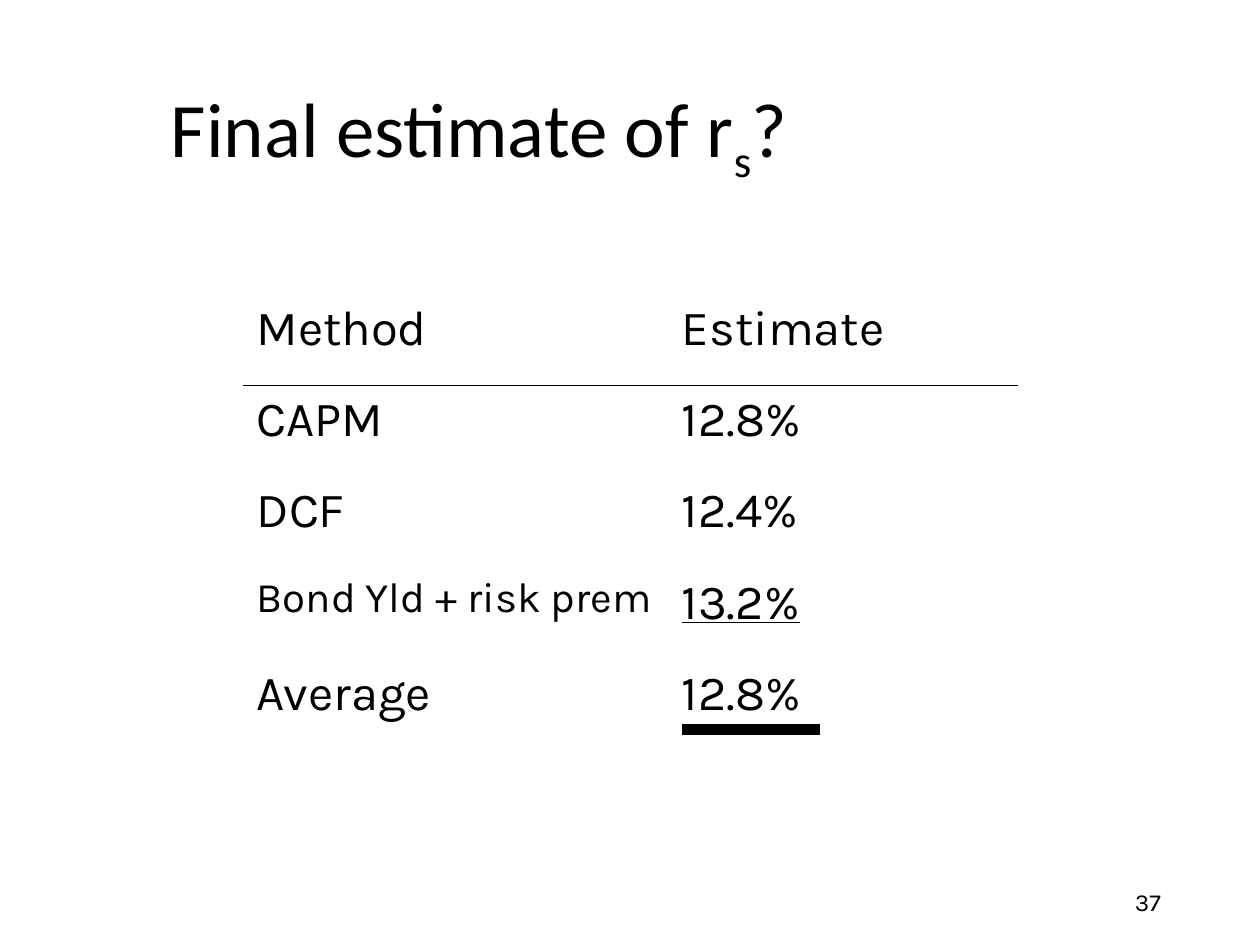
from dataclasses import dataclass

import pptx
import pptx.dml.color
import pptx.enum.shapes
import pptx.enum.text
import pptx.oxml
import pptx.oxml.ns
import pptx.util
from pptx.util import Pt

BLACK = "000000"
BODY_FONT = "Karla"
TITLE_FONT = "Calibri"


@dataclass
class Run:
    text: str
    size: float = 28
    font: str = BODY_FONT
    underline: bool = False
    baseline: int = 0


@dataclass
class Estimate:
    method: Run
    value: Run


ESTIMATES = [
    Estimate(Run("Method"), Run("Estimate")),
    Estimate(Run("CAPM"), Run("12.8%")),
    Estimate(Run("DCF"), Run("12.4%")),
    Estimate(Run("Bond Yld + risk prem", size=24), Run("13.2%", underline=True)),
    Estimate(Run("Average"), Run("12.8%")),
]


def rgb(value: str) -> pptx.dml.color.RGBColor:
    return pptx.dml.color.RGBColor.from_string(value)


def add_runs(paragraph, *runs: Run) -> None:
    for item in runs:
        run = paragraph.add_run()
        run.text = item.text
        run.font.size = Pt(item.size)
        run.font.name = item.font
        run.font.color.rgb = rgb(BLACK)
        if item.underline:
            run.font.underline = True
        if item.baseline:
            run.font._element.set("baseline", str(item.baseline * 1000))


def add_text(slide, left: float, top: float, width: float, height: float, *runs: Run):
    """Add a vertically centred text box and return its paragraph."""
    box = slide.shapes.add_textbox(Pt(left), Pt(top), Pt(width), Pt(height))
    box.text_frame.word_wrap = True
    box.text_frame.vertical_anchor = pptx.enum.text.MSO_ANCHOR.MIDDLE
    paragraph = box.text_frame.paragraphs[0]
    add_runs(paragraph, *runs)
    return paragraph


def set_border(cell, side: str, width: float, color: str) -> None:
    """Draw one cell edge; side is L, R, T or B."""
    border = pptx.oxml.parse_xml(
        f'<a:ln{side} {pptx.oxml.ns.nsdecls("a")} w="{Pt(width)}"><a:solidFill>'
        f'<a:srgbClr val="{color}"/></a:solidFill></a:ln{side}>'
    )
    cell._tc.get_or_add_tcPr().insert(0, border)


def add_estimates(slide, left: float, top: float, widths: list[float], row_height: float) -> None:
    frame = slide.shapes.add_table(
        len(ESTIMATES), len(widths), Pt(left), Pt(top),
        Pt(sum(widths)), Pt(row_height * len(ESTIMATES)),
    )
    table = frame.table
    table.first_row = False
    table.horz_banding = False
    for column, width in zip(table.columns, widths):
        column.width = Pt(width)
    for row, estimate in enumerate(ESTIMATES):
        for column, entry in enumerate((estimate.method, estimate.value)):
            cell = table.cell(row, column)
            cell.fill.background()
            add_runs(cell.text_frame.paragraphs[0], entry)
            if row < 2:
                set_border(cell, "BT"[row], 1, BLACK)


def add_rule(slide, left: float, right: float, y: float, width: float) -> None:
    rule = slide.shapes.add_connector(
        pptx.enum.shapes.MSO_CONNECTOR.STRAIGHT, Pt(left), Pt(y), Pt(right), Pt(y)
    )
    rule.line.color.rgb = rgb(BLACK)
    rule.line.width = Pt(width)
    rule._element.spPr.append(
        pptx.oxml.parse_xml(f'<a:effectLst {pptx.oxml.ns.nsdecls("a")}/>')
    )


def main() -> None:
    deck = pptx.Presentation()
    deck.slide_width, deck.slide_height = Pt(720), Pt(540)
    slide = deck.slides.add_slide(deck.slide_layouts[6])

    page_number = add_text(slide, 508.5, 500.5, 162, 29, Run("37", size=14))
    page_number.alignment = pptx.enum.text.PP_ALIGN.RIGHT

    title = add_text(
        slide, 90.5, 16.5, 613.5, 115,
        Run("Final estimate of r", 44, TITLE_FONT),
        Run("s", 44, TITLE_FONT, baseline=-25),
        Run("?", 44, TITLE_FONT),
    )
    title.line_spacing = 0.9

    add_estimates(slide, left=139.5, top=168, widths=[243, 199], row_height=52.2)
    add_rule(slide, left=389.5, right=468.75, y=416.75, width=6)

    deck.save("out.pptx")


if __name__ == "__main__":
    main()
